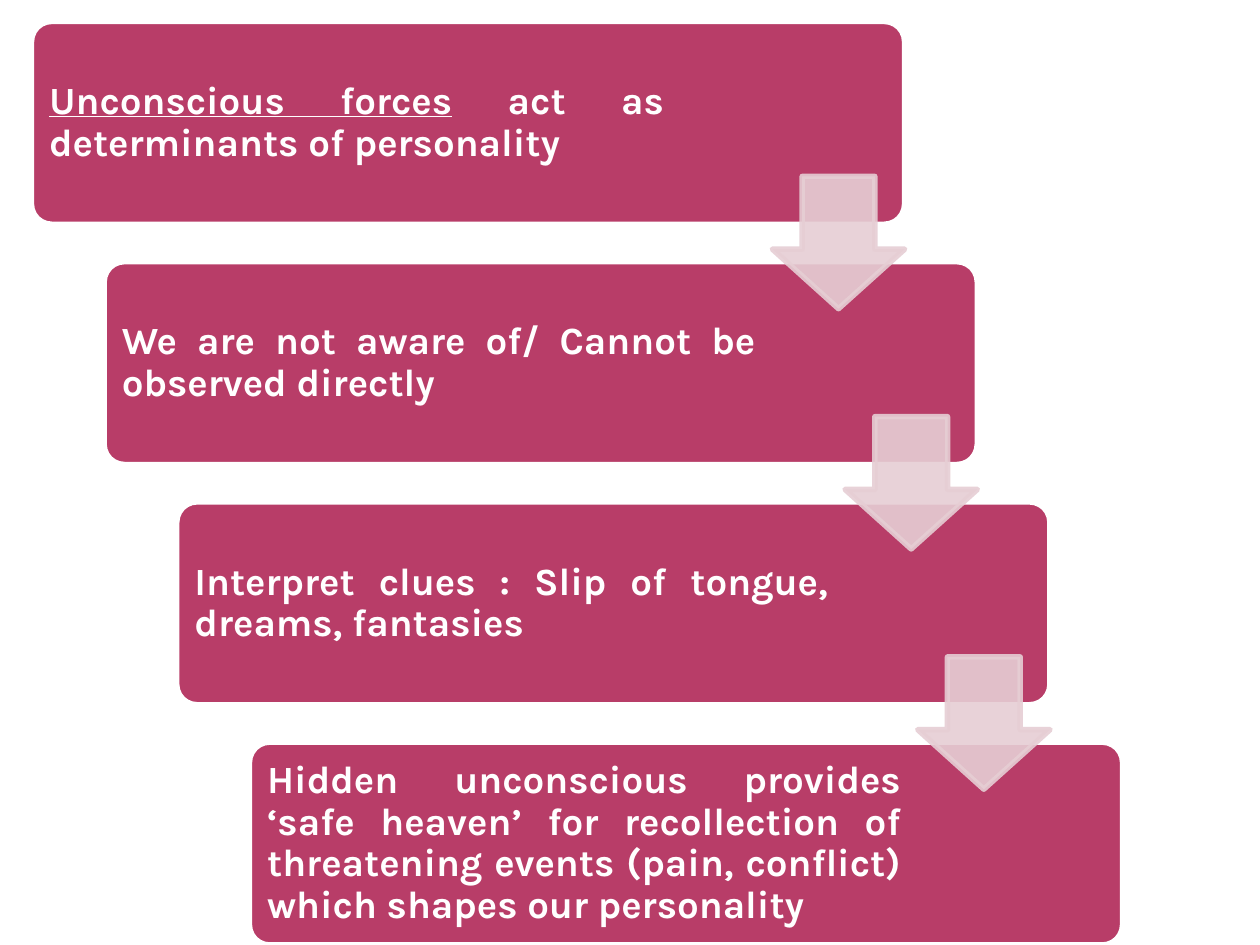
from lxml import etree
from pptx import Presentation
from pptx.dml.color import RGBColor
from pptx.enum.shapes import MSO_SHAPE as Preset
from pptx.enum.text import MSO_ANCHOR as Anchor, PP_ALIGN as Align
from pptx.oxml.ns import qn
from pptx.util import Inches, Pt

SLIDE_W, SLIDE_H = Inches(10), Inches(7.5)
STEP_W, STEP_H = Inches(6.93), Inches(1.61)
ARROW_SIZE = Inches(1.05)
BERRY, BLUSH, WHITE = "B83D68", "E6CED4", "FFFFFF"

# Each step is a list of (text, underlined) runs
STEPS = [
    [("Unconscious forces", True), (" act as determinants of personality", False)],
    [("We are not aware of/ Cannot be observed directly", False)],
    [("Interpret clues : Slip of tongue, dreams, fantasies", False)],
    [("Hidden unconscious provides ‘safe heaven’ for recollection of "
      "threatening events (pain, conflict) which shapes our personality", False)],
]


def paint(color_format, color, opacity=100):
    color_format.rgb = RGBColor.from_string(color)


def add_block(slide, preset, box, adjustments, fill, line, opacity=100):
    block = slide.shapes.add_shape(preset, *box)
    block.shadow.inherit = False
    for index, value in enumerate(adjustments):
        block.adjustments[index] = value
    block.fill.solid()
    paint(block.fill.fore_color, fill)
    paint(block.line.color, line)
    block.line.width = Pt(3.15)
    if opacity < 100:
        for color in block._element.spPr.iter(qn("a:srgbClr")):
            etree.SubElement(color, qn("a:alpha"), val=str(opacity * 1000))


def add_step(slide, box, runs, text_width):
    left, top, width, height = box
    add_block(slide, Preset.ROUNDED_RECTANGLE, box, [0.1], BERRY, WHITE)

    # The text stays clear of the arrow at the right
    inset = Inches(0.05)
    label = slide.shapes.add_textbox(
        left + inset, top + inset, text_width, height - 2 * inset)
    frame = label.text_frame
    frame.word_wrap = True
    frame.vertical_anchor = Anchor.MIDDLE
    frame.margin_left = frame.margin_right = Inches(0.09)
    frame.margin_top = frame.margin_bottom = Inches(0.09)
    paragraph = frame.paragraphs[0]
    paragraph.alignment = Align.JUSTIFY
    paragraph.line_spacing = 0.9
    for text, underlined in runs:
        run = paragraph.add_run()
        run.text = text
        run.font.name = "Karla"
        run.font.size = Pt(22)
        run.font.bold = True
        run.font.underline = underlined
        paint(run.font.color, WHITE)


def add_arrow(slide, step_box):
    left, top = step_box[:2]
    box = (left + Inches(5.88), top + Inches(1.23), ARROW_SIZE, ARROW_SIZE)
    add_block(slide, Preset.DOWN_ARROW, box, [0.55, 0.45], BLUSH, BLUSH, 90)


def add_staircase(slide, left, top, right, bottom):
    gaps = len(STEPS) - 1
    shift_x = (right - left - STEP_W) // gaps
    shift_y = (bottom - top - STEP_H) // gaps
    boxes = [(left + i * shift_x, top + i * shift_y, STEP_W, STEP_H)
             for i in range(len(STEPS))]
    for i, (box, runs) in enumerate(zip(boxes, STEPS)):
        add_step(slide, box, runs, Inches(5.21 if i else 5.06))
    # Arrows lie over the steps they join
    for box in boxes[:-1]:
        add_arrow(slide, box)


def main():
    deck = Presentation()
    deck.slide_width, deck.slide_height = SLIDE_W, SLIDE_H
    slide = deck.slides.add_slide(deck.slide_layouts[6])
    add_staircase(slide, Inches(0.25), Inches(0.17), Inches(8.91), SLIDE_H)
    deck.save("out.pptx")


if __name__ == "__main__":
    main()
